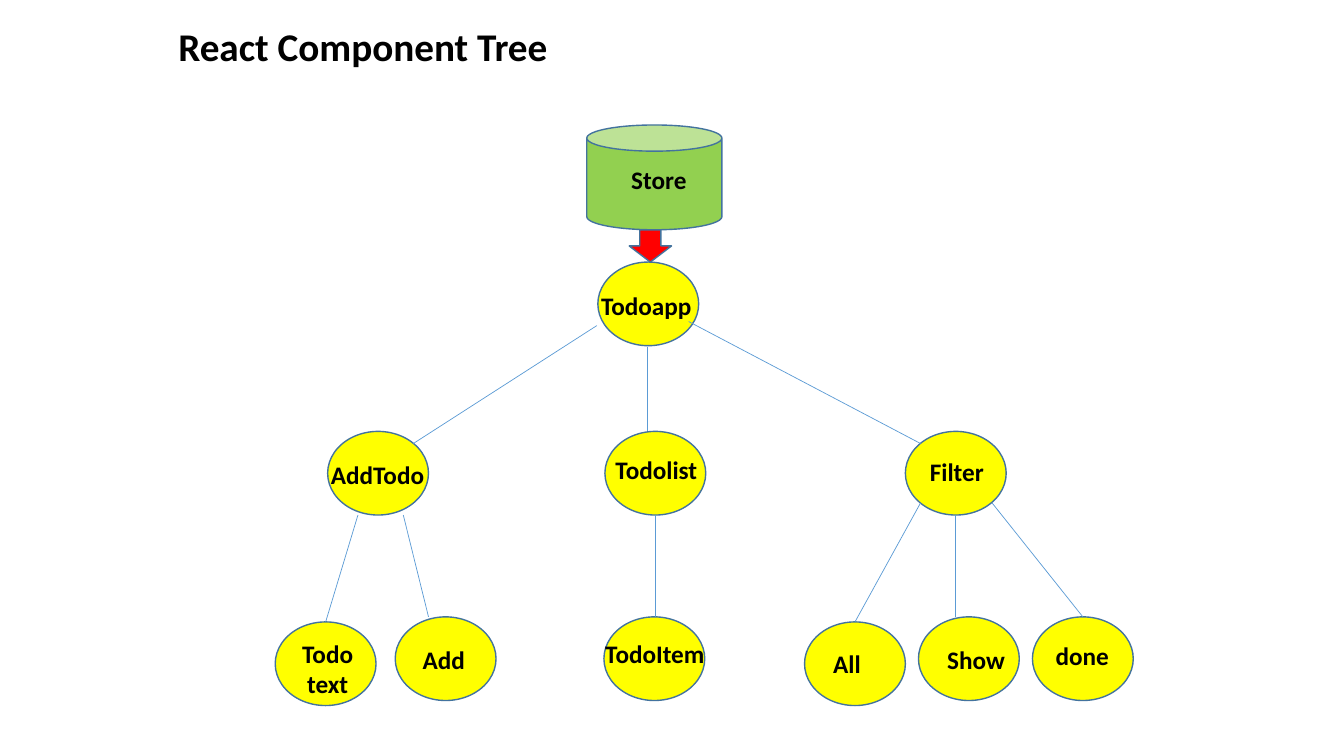
"""Build a slide showing a component tree fed by a store."""
from dataclasses import dataclass

from lxml.etree import SubElement
from pptx import Presentation
from pptx.dml.color import RGBColor
from pptx.enum.shapes import MSO_CONNECTOR, MSO_SHAPE
from pptx.enum.text import MSO_AUTO_SIZE, PP_ALIGN
from pptx.oxml.ns import qn
from pptx.slide import Slide
from pptx.util import Inches, Pt

NODE_WIDTH, NODE_HEIGHT = 1, 0.83
LINE_HEIGHT = 0.31


@dataclass(frozen=True)
class Label:
    text: str
    left: float
    top: float
    width: float


@dataclass(frozen=True)
class Node:
    left: float
    top: float
    label: Label


@dataclass(frozen=True)
class Branch:
    start: tuple[float, float]
    end: tuple[float, float]


NODES = [
    Node(5.93, 2.6, Label("Todoapp", 5.86, 2.83, 1.1)),
    Node(3.25, 4.28, Label("AddTodo", 3.18, 4.51, 1.13)),
    Node(6, 4.28, Label("Todolist", 6, 4.46, 1.02)),
    Node(8.98, 4.28, Label("Filter", 9.12, 4.48, 0.74)),
    Node(2.73, 6.17, Label("Todo\ntext", 2.8, 6.28, 0.9)),
    Node(3.92, 6.12, Label("Add", 4.09, 6.34, 0.62)),
    Node(5.99, 6.12, Label("TodoItem", 5.9, 6.28, 1.19)),
    Node(7.98, 6.17, Label("All", 8.16, 6.38, 0.48)),
    Node(9.11, 6.12, Label("Show", 9.29, 6.34, 0.78)),
    Node(10.24, 6.12, Label("done", 10.37, 6.3, 0.73)),
]

BRANCHES = [
    Branch((6.42, 3.44), (6.42, 4.28)),
    Branch((5.92, 3.23), (4.1, 4.4)),
    Branch((6.83, 3.19), (9.13, 4.4)),
    Branch((3.55, 5.11), (3.23, 6.17)),
    Branch((4, 5.11), (4.25, 6.12)),
    Branch((6.5, 5.11), (6.5, 6.12)),
    Branch((9.13, 4.99), (8.48, 6.17)),
    Branch((9.48, 5.11), (9.48, 6.12)),
    Branch((9.84, 4.99), (10.74, 6.12)),
]


def color(value: str) -> RGBColor:
    return RGBColor.from_string(value)


def add_label(slide: Slide, label: Label, size: int = 18, wrap: bool = False,
              height: float = 0.4, alignment: PP_ALIGN = PP_ALIGN.CENTER) -> None:
    extra_height = LINE_HEIGHT * label.text.count("\n")
    shape = slide.shapes.add_textbox(Inches(label.left), Inches(label.top),
                                     Inches(label.width), Inches(height + extra_height))
    text_frame = shape.text_frame
    text_frame.text = label.text
    text_frame.word_wrap = wrap
    text_frame.auto_size = MSO_AUTO_SIZE.SHAPE_TO_FIT_TEXT
    for paragraph in text_frame.paragraphs:
        paragraph.alignment = alignment
        for run in paragraph.runs:
            run.font.name = "Calibri"
            run.font.size = Pt(size)
            run.font.bold = True
            run.font.color.rgb = color("000000")


def add_figure(slide: Slide, kind: MSO_SHAPE, left: float, top: float,
               width: float, height: float, fill: str) -> None:
    shape = slide.shapes.add_shape(kind, Inches(left), Inches(top), Inches(width), Inches(height))
    shape.shadow.inherit = False
    shape.fill.solid()
    shape.fill.fore_color.rgb = color(fill)
    shape.line.color.rgb = color("43739E")
    shape.line.width = Pt(1)


def add_branch(slide: Slide, branch: Branch) -> None:
    connector = slide.shapes.add_connector(
        MSO_CONNECTOR.STRAIGHT, *map(Inches, branch.start + branch.end))
    connector.line.color.rgb = color("5B9BD5")
    connector.line.width = Pt(0.5)
    SubElement(connector.element.spPr, qn("a:effectLst"))


def main() -> None:
    presentation = Presentation()
    presentation.slide_width = Inches(13.33)
    presentation.slide_height = Inches(7.5)
    slide = presentation.slides.add_slide(presentation.slide_layouts[6])

    title = Label("React Component Tree", 1.67, 0.17, 9.99)
    add_label(slide, title, size=28, wrap=True, height=0.57, alignment=PP_ALIGN.LEFT)
    for node in NODES:
        add_figure(slide, MSO_SHAPE.OVAL, node.left, node.top, NODE_WIDTH, NODE_HEIGHT, "FFFF00")
        add_label(slide, node.label)
    for branch in BRANCHES:
        add_branch(slide, branch)
    add_figure(slide, MSO_SHAPE.CAN, 5.82, 1.24, 1.34, 1.04, "92D050")
    add_label(slide, Label("Store", 6.16, 1.58, 0.75))
    add_figure(slide, MSO_SHAPE.DOWN_ARROW, 6.24, 2.28, 0.42, 0.32, "FF0000")
    presentation.save("out.pptx")


if __name__ == "__main__":
    main()
